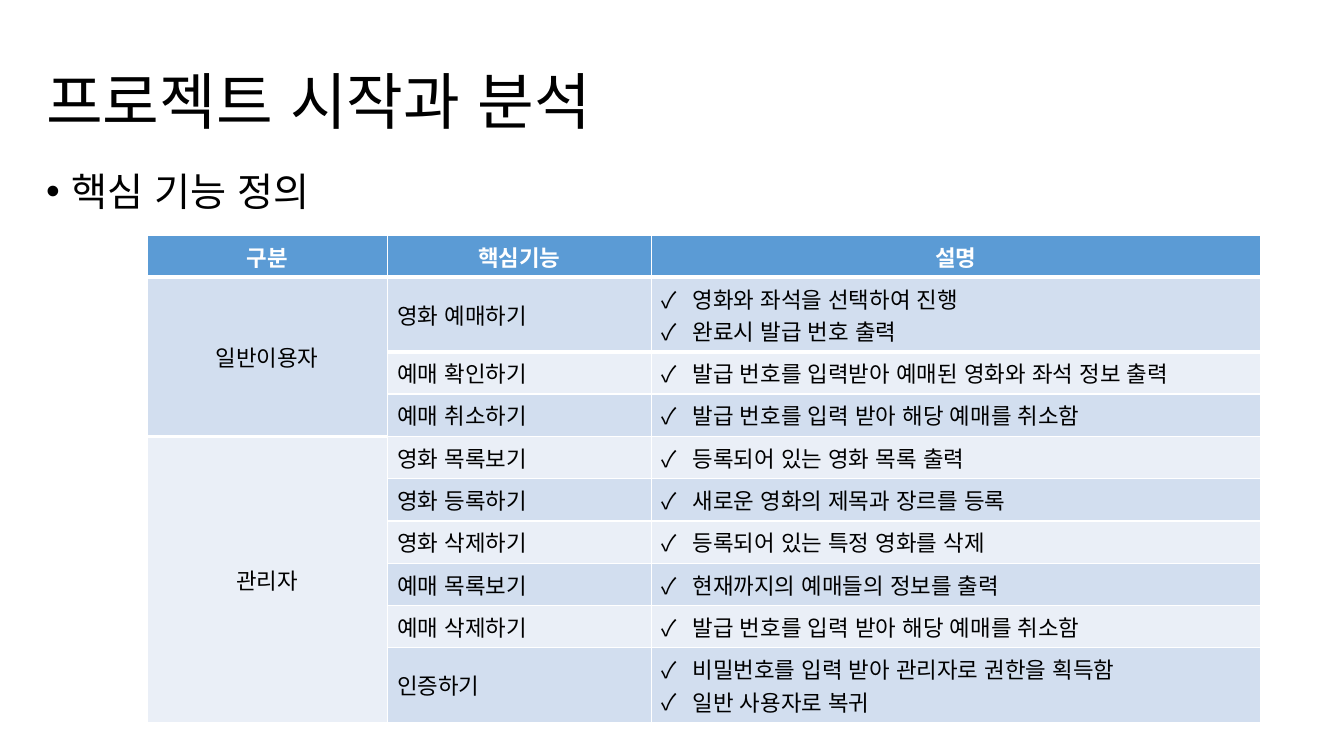
from lxml.etree import Element, SubElement
from pptx import Presentation
from pptx.dml.color import RGBColor
from pptx.enum.text import MSO_ANCHOR, PP_ALIGN
from pptx.oxml.ns import qn
from pptx.util import Inches, Pt

FONT = "Noto Sans CJK KR"
BLACK = RGBColor(0x00, 0x00, 0x00)
WHITE = RGBColor(0xFF, 0xFF, 0xFF)
HEADER_BLUE = RGBColor(0x5B, 0x9B, 0xD5)
BANDS = [RGBColor(0xD2, 0xDE, 0xEF), RGBColor(0xEA, 0xEF, 0xF7)]

COLUMN_WIDTHS = [2.38, 2.62, 6.04]
HEADER_HEIGHT, LINE_HEIGHT, CELL_PADDING = 0.41, 0.32, 0.1

HEADINGS = ["구분", "핵심기능", "설명"]
FEATURES = {
    "일반이용자": [
        ("영화 예매하기", ["영화와 좌석을 선택하여 진행", "완료시 발급 번호 출력"]),
        ("예매 확인하기", ["발급 번호를 입력받아 예매된 영화와 좌석 정보 출력"]),
        ("예매 취소하기", ["발급 번호를 입력 받아 해당 예매를 취소함"]),
    ],
    "관리자": [
        ("영화 목록보기", ["등록되어 있는 영화 목록 출력"]),
        ("영화 등록하기", ["새로운 영화의 제목과 장르를 등록"]),
        ("영화 삭제하기", ["등록되어 있는 특정 영화를 삭제"]),
        ("예매 목록보기", ["현재까지의 예매들의 정보를 출력"]),
        ("예매 삭제하기", ["발급 번호를 입력 받아 해당 예매를 취소함"]),
        ("인증하기", ["비밀번호를 입력 받아 관리자로 권한을 획득함", "일반 사용자로 복귀"]),
    ],
}


def add_bullet(para, symbol, indent, font_name):
    properties = para._p.get_or_add_pPr()
    properties.set("marL", str(Inches(indent)))
    properties.set("indent", str(-Inches(indent)))
    SubElement(properties, qn("a:buFont")).set("typeface", font_name)
    SubElement(properties, qn("a:buChar")).set("char", symbol)


def style_para(para, size, color=BLACK, bold=False, align=PP_ALIGN.LEFT):
    para.alignment = align
    para.font.size = Pt(size)
    para.font.bold = bold
    para.font.color.rgb = color
    para.font.name = FONT
    default_run = para._p.get_or_add_pPr().find(qn("a:defRPr"))
    default_run.set("lang", "ko-KR")
    SubElement(default_run, qn("a:ea")).set("typeface", FONT)


def add_line(slide, box, text, size, anchor, bullet=None):
    """Add a text box with one paragraph at box (left, top, width, height)."""
    frame = slide.shapes.add_textbox(*map(Inches, box)).text_frame
    frame.word_wrap = True
    frame.vertical_anchor = anchor
    para = frame.paragraphs[0]
    para.text = text
    para.line_spacing = 0.9
    if bullet:
        add_bullet(para, bullet, 0.25, "Arial")
    style_para(para, size)


def fill_cell(cell, lines, fill, bullet=None, anchor=MSO_ANCHOR.MIDDLE, **style):
    cell.fill.solid()
    cell.fill.fore_color.rgb = fill
    cell.vertical_anchor = anchor
    frame = cell.text_frame
    frame.text = "\n".join(lines)
    for para in frame.paragraphs:
        if bullet:
            add_bullet(para, bullet, 0.31, FONT)
        style_para(para, 16, **style)


def add_border(cell, side, width):
    """Draw a white border on one side: a:lnT for the top, a:lnB for the bottom."""
    border = Element(qn(side), w=str(Pt(width)))
    fill = SubElement(border, qn("a:solidFill"))
    SubElement(fill, qn("a:srgbClr")).set("val", str(WHITE))
    cell._tc.get_or_add_tcPr().insert(0, border)


def add_feature_table(slide, left, top):
    features = [feature for group in FEATURES.values() for feature in group]
    heights = [HEADER_HEIGHT]
    heights += [CELL_PADDING + LINE_HEIGHT * len(notes) for _, notes in features]
    table = slide.shapes.add_table(
        len(heights), len(HEADINGS), Inches(left), Inches(top),
        Inches(sum(COLUMN_WIDTHS)), Inches(sum(heights))).table
    for column, width in zip(table.columns, COLUMN_WIDTHS):
        column.width = Inches(width)
    for row, height in zip(table.rows, heights):
        row.height = Inches(height)

    for index, heading in enumerate(HEADINGS):
        fill_cell(table.cell(0, index), [heading], HEADER_BLUE, anchor=MSO_ANCHOR.TOP,
                  color=WHITE, bold=True, align=PP_ALIGN.CENTER)
        add_border(table.cell(0, index), "a:lnB", 3)
        add_border(table.cell(1, index), "a:lnT", 3)
    for row, (name, notes) in enumerate(features, start=1):
        band = BANDS[(row - 1) % 2]
        fill_cell(table.cell(row, 1), [name], band)
        fill_cell(table.cell(row, 2), notes, band, bullet="✓", anchor=MSO_ANCHOR.TOP)

    first = 1
    for user, group in FEATURES.items():
        cell = table.cell(first, 0)
        cell.merge(table.cell(first + len(group) - 1, 0))
        fill_cell(cell, [user], BANDS[(first - 1) % 2], align=PP_ALIGN.CENTER)
        first += len(group)


def main():
    deck = Presentation()
    deck.slide_width, deck.slide_height = Inches(13.33), Inches(7.5)
    slide = deck.slides.add_slide(deck.slide_layouts[6])
    add_line(slide, (0.36, 0.31, 11.5, 1.45), "프로젝트 시작과 분석", 44, MSO_ANCHOR.MIDDLE)
    add_line(slide, (0.36, 1.66, 12.6, 5.41), "핵심 기능 정의", 28, MSO_ANCHOR.TOP, bullet="•")
    add_feature_table(slide, 1.46, 2.34)
    deck.save("out.pptx")


if __name__ == "__main__":
    main()
